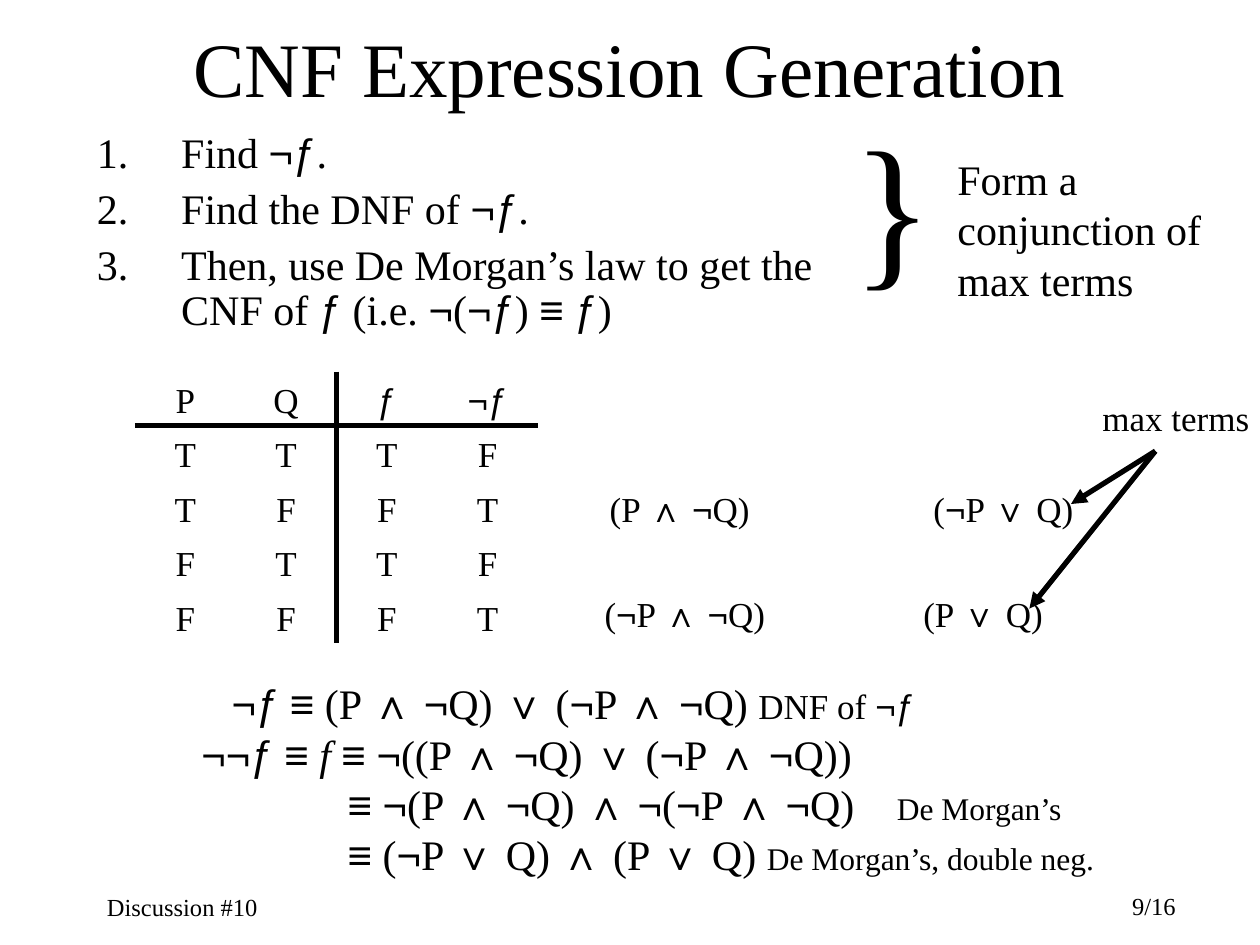
from itertools import groupby

from lxml import etree
from pptx import Presentation
from pptx.dml.color import RGBColor
from pptx.enum.shapes import MSO_CONNECTOR
from pptx.enum.text import MSO_ANCHOR, PP_ALIGN
from pptx.oxml.ns import qn
from pptx.util import Inches, Pt

BLACK = RGBColor(0, 0, 0)
TEXT_FONT, SYMBOL_FONT = "Times New Roman", "Arial"
SYMBOLS = "¬ƒ≡∧∨"
LEFT, CENTER, RIGHT = PP_ALIGN.LEFT, PP_ALIGN.CENTER, PP_ALIGN.RIGHT
STRAIGHT = MSO_CONNECTOR.STRAIGHT

TITLE = "CNF Expression Generation"
STEPS = [
    "Find ¬ƒ.",
    "Find the DNF of ¬ƒ.",
    "Then, use De Morgan’s law to get the CNF of ƒ (i.e. ¬(¬ƒ) ≡ ƒ)",
]
TRUTH_TABLE = ["P Q ƒ ¬ƒ", "T T T F", "T F F T", "F T T F", "F F F T"]
TABLE_LEFT, TABLE_TOP, COLUMN_WIDTH, ROW_HEIGHT = 1.07, 2.95, 0.8, 0.43

# left, top, tab stop of the max term, text
TERM_ROWS = [
    (4.74, 3.82, 2.57, "(P ∧ ¬Q)\t(¬P ∨ Q)"),
    (4.70, 4.65, 2.53, "(¬P ∧ ¬Q)\t(P ∨ Q)"),
]

# tab stops, then pieces of (text, size, italic)
DERIVATION = [
    ([0.82], [("\t¬ƒ ≡ (P ∧ ¬Q) ∨ (¬P ∧ ¬Q) ", 24, False), ("DNF of ¬ƒ", 20, False)]),
    ([0.58], [("\t¬¬ƒ ≡ ", 24, False), ("f ", 24, True),
              ("≡ ¬((P ∧ ¬Q) ∨ (¬P ∧ ¬Q))", 24, False)]),
    ([1.74, 6.1], [("\t≡ ¬(P ∧ ¬Q) ∧ ¬(¬P ∧ ¬Q)\t", 24, False),
                   ("De Morgan’s", 18, False)]),
    ([1.74], [("\t≡ (¬P ∨ Q) ∧ (P ∨ Q) ", 24, False),
              ("De Morgan’s, double neg.", 18, False)]),
]

# text, left, top, width, height, size, alignment, right margin
LABELS = [
    ("Discussion #10", 0.75, 7.03, 2.08, 0.32, 14, LEFT, 0.1),
    ("9/16", 7.33, 7.02, 2.1, 0.33, 14, RIGHT, 0.1),
    ("max terms", 8.65, 3.1, 1.35, 0.44, 20, LEFT, 0),
    ("}", 6.67, 0.75, 0.84, 1.7, 96, LEFT, 0),
    ("Form a conjunction of max terms", 7.5, 1.17, 2.15, 1.3, 24, LEFT, 0.1),
]
ARROW_START = (9.17, 3.58)
ARROW_ENDS = [(8.5, 4), (8.17, 4.83)]


def add_runs(paragraph, text, size, italic=False):
    """Add text, with the logic symbols in their own font."""
    for is_symbol, characters in groupby(text, lambda character: character in SYMBOLS):
        run = paragraph.add_run()
        run.text = "".join(characters)
        run.font.name = SYMBOL_FONT if is_symbol else TEXT_FONT
        run.font.size = Pt(size)
        run.font.italic = italic
        run.font.color.rgb = BLACK


def add_tab_stops(paragraph, positions):
    tab_list = etree.SubElement(paragraph._p.get_or_add_pPr(), qn("a:tabLst"))
    for position in positions:
        etree.SubElement(tab_list, qn("a:tab"), pos=str(Inches(position)), algn="l")


def add_frame(slide, left, top, width, height):
    box = slide.shapes.add_textbox(Inches(left), Inches(top), Inches(width), Inches(height))
    box.text_frame.word_wrap = True
    return box.text_frame


def paragraphs_for(frame, items):
    """Yield one paragraph of the frame with each item."""
    for index, item in enumerate(items):
        yield (frame.add_paragraph() if index else frame.paragraphs[0]), item


def add_line(slide, start, end, arrow=False):
    line = slide.shapes.add_connector(STRAIGHT, *(Inches(value) for value in (*start, *end)))
    line.line.color.rgb = BLACK
    line.line.width = Pt(3)
    if arrow:
        etree.SubElement(line.line._get_or_add_ln(), qn("a:tailEnd"), type="triangle")
    etree.SubElement(line._element.spPr, qn("a:effectLst"))


def add_title(slide):
    frame = add_frame(slide, 0, 0.17, 10, 0.72)
    frame.vertical_anchor = MSO_ANCHOR.MIDDLE
    frame.paragraphs[0].alignment = CENTER
    add_runs(frame.paragraphs[0], TITLE, 44)


def add_steps(slide):
    frame = add_frame(slide, 0.67, 1, 6.17, 1.75)
    for paragraph, step in paragraphs_for(frame, STEPS):
        paragraph.line_spacing = 0.9
        if step != STEPS[0]:
            paragraph.space_before = Pt(6)
        properties = paragraph._p.get_or_add_pPr()
        properties.set("marL", str(Inches(0.67)))
        properties.set("indent", str(-Inches(0.67)))
        etree.SubElement(properties, qn("a:buFont"), typeface=TEXT_FONT)
        etree.SubElement(properties, qn("a:buAutoNum"), type="arabicPeriod")
        add_runs(paragraph, step, 24)


def add_truth_table(slide):
    rows = [row.split() for row in TRUTH_TABLE]
    width, height = COLUMN_WIDTH * len(rows[0]), ROW_HEIGHT * len(rows)
    table = slide.shapes.add_table(
        len(rows), len(rows[0]), Inches(TABLE_LEFT), Inches(TABLE_TOP),
        Inches(width), Inches(height)).table
    table.first_row = table.horz_banding = False
    for row_index, row in enumerate(rows):
        for column_index, value in enumerate(row):
            cell = table.cell(row_index, column_index)
            cell.fill.background()
            cell.margin_top, cell.margin_bottom = Inches(0.08), Inches(0.02)
            paragraph = cell.text_frame.paragraphs[0]
            paragraph.alignment = CENTER
            add_runs(paragraph, value, 20)
    header_bottom = TABLE_TOP + ROW_HEIGHT
    middle = TABLE_LEFT + width / 2
    add_line(slide, (TABLE_LEFT, header_bottom), (TABLE_LEFT + width, header_bottom))
    add_line(slide, (middle, TABLE_TOP), (middle, TABLE_TOP + height))


def add_terms(slide):
    for left, top, stop, text in TERM_ROWS:
        paragraph = add_frame(slide, left, top, 4.8, 0.44).paragraphs[0]
        add_tab_stops(paragraph, [stop])
        add_runs(paragraph, text, 20)


def add_derivation(slide):
    frame = add_frame(slide, 0.92, 5.33, 8.44, 1.7)
    for paragraph, (stops, pieces) in paragraphs_for(frame, DERIVATION):
        add_tab_stops(paragraph, stops)
        for text, size, italic in pieces:
            add_runs(paragraph, text, size, italic)


def add_labels(slide):
    for text, left, top, width, height, size, alignment, right_margin in LABELS:
        frame = add_frame(slide, left, top, width, height)
        frame.margin_right = Inches(right_margin)
        frame.paragraphs[0].alignment = alignment
        add_runs(frame.paragraphs[0], text, size)


def main():
    presentation = Presentation()
    presentation.slide_width, presentation.slide_height = Inches(10), Inches(7.5)
    slide = presentation.slides.add_slide(presentation.slide_layouts[6])
    add_title(slide)
    add_steps(slide)
    add_truth_table(slide)
    add_terms(slide)
    add_derivation(slide)
    add_labels(slide)
    for end in ARROW_ENDS:
        add_line(slide, ARROW_START, end, arrow=True)
    presentation.save("out.pptx")


if __name__ == "__main__":
    main()
